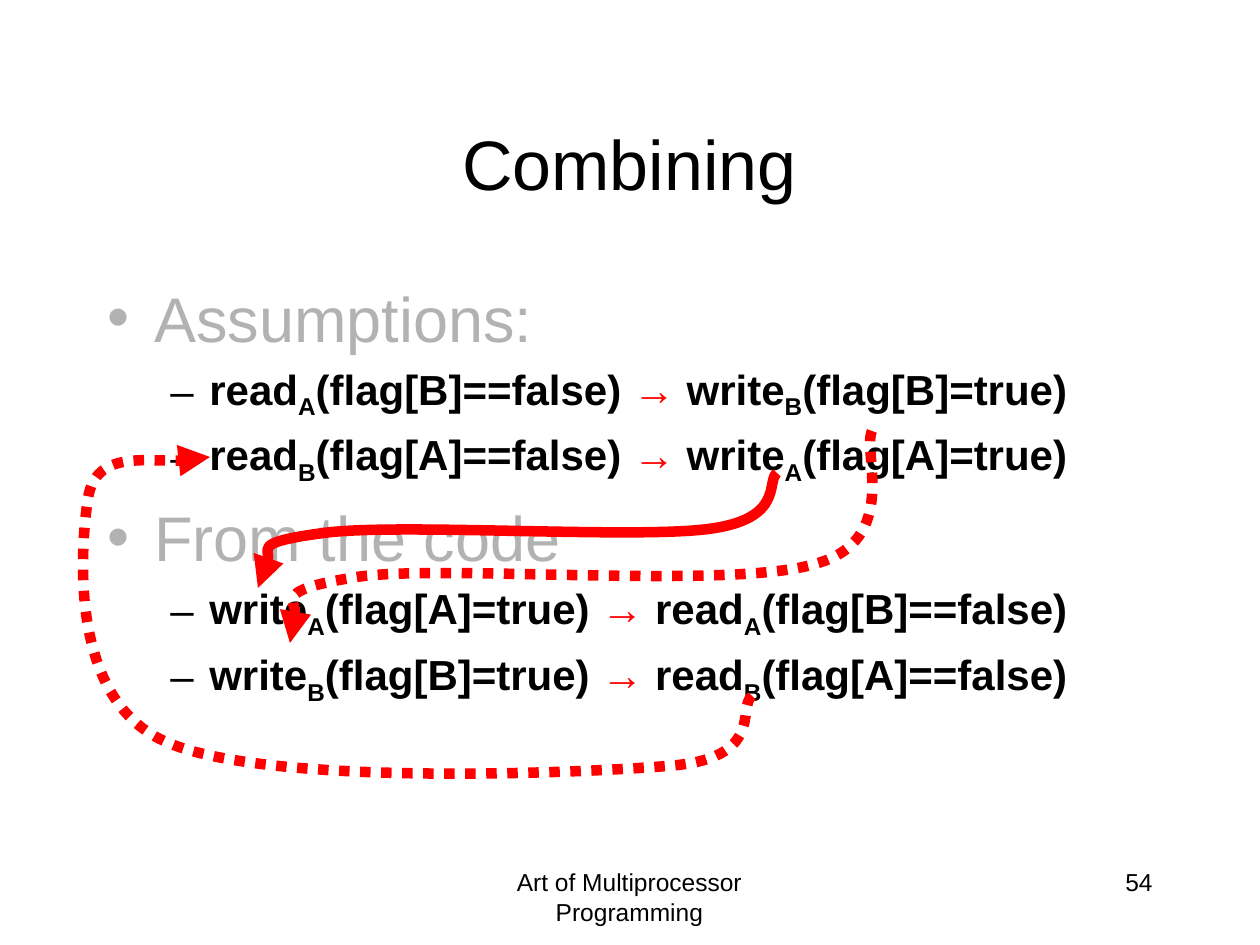
from lxml.etree import SubElement
from pptx import Presentation
from pptx.dml.color import RGBColor
from pptx.enum.dml import MSO_LINE
from pptx.enum.text import MSO_ANCHOR, PP_ALIGN
from pptx.oxml.ns import qn
from pptx.util import Emu, Pt

EMU_PER_PX = 914400 / 126
FONT = "Arial"
HEADING_SIZE, EVENT_SIZE = 36, 24
COLORS = {"text": "000000", "faded": "B2B2B2", "accent": "FF0000"}

# Each event is (verb, thread, arguments); the first one precedes the second
ASSUMPTIONS = [
    (("read", "A", "(flag[B]==false)"), ("write", "B", "(flag[B]=true)")),
    (("read", "B", "(flag[A]==false)"), ("write", "A", "(flag[A]=true)")),
]
FROM_CODE = [
    (("write", "A", "(flag[A]=true)"), ("read", "A", "(flag[B]==false)")),
    (("write", "B", "(flag[B]=true)"), ("read", "B", "(flag[A]==false)")),
]

# Start point, then two control points and an end point per curve
READ_B_LOOP = [
    (752, 696),
    (737, 707), (766, 759), (668, 766),
    (570, 774), (260, 786), (164, 741),
    (67, 697), (81, 544), (88, 498),
    (96, 450), (185, 466), (210, 457),
]
WRITE_B_LINK = [
    (872, 431),
    (862, 452), (901, 541), (815, 564),
    (730, 590), (445, 564), (357, 577),
    (270, 591), (304, 629), (290, 643),
]
WRITE_A_LINK = [
    (777, 473),
    (766, 481), (785, 519), (709, 529),
    (634, 539), (398, 523), (324, 533),
    (248, 543), (272, 577), (258, 588),
]


def px(value):
    return Emu(round(value * EMU_PER_PX))


def add_run(paragraph, text, size, color="text", bold=False, subscript=False):
    run = paragraph.add_run()
    run.text = text
    run.font.name = FONT
    run.font.size = Pt(size)
    run.font.bold = bold
    run.font.color.rgb = RGBColor.from_string(COLORS[color])
    if subscript:
        run._r.get_or_add_rPr().set("baseline", "-25000")


def add_frame(slide, left, top, width, height):
    frame = slide.shapes.add_textbox(px(left), px(top), px(width), px(height)).text_frame
    frame.word_wrap = True
    return frame


def add_label(slide, box, text, size, align, anchor=MSO_ANCHOR.TOP):
    frame = add_frame(slide, *box)
    frame.vertical_anchor = anchor
    paragraph = frame.paragraphs[0]
    paragraph.alignment = align
    add_run(paragraph, text, size)


def add_bullet(frame, char, level, margin, hanging, size):
    first = not frame.paragraphs[0].runs
    paragraph = frame.paragraphs[0] if first else frame.add_paragraph()
    paragraph.level = level
    paragraph.space_before = Pt(0 if first else size / 5)
    properties = paragraph._p.get_or_add_pPr()
    properties.set("marL", str(px(margin)))
    properties.set("indent", str(px(-hanging)))
    SubElement(properties, qn("a:buFont"), typeface=FONT)
    SubElement(properties, qn("a:buChar"), char=char)
    return paragraph


def add_section(frame, heading, orderings):
    add_run(add_bullet(frame, "•", 0, 47, 47, HEADING_SIZE), heading, HEADING_SIZE, "faded")
    for before, after in orderings:
        paragraph = add_bullet(frame, "–", 1, 102, 39, EVENT_SIZE)
        add_event(paragraph, before)
        add_run(paragraph, " ", EVENT_SIZE, bold=True)
        add_run(paragraph, "→", EVENT_SIZE, "accent", bold=True)
        add_run(paragraph, " ", EVENT_SIZE, bold=True)
        add_event(paragraph, after)


def add_event(paragraph, event):
    verb, thread, arguments = event
    add_run(paragraph, verb, EVENT_SIZE, bold=True)
    add_run(paragraph, thread, EVENT_SIZE, bold=True, subscript=True)
    add_run(paragraph, arguments, EVENT_SIZE, bold=True)


def add_curved_arrow(slide, points, dotted=False):
    start, *rest = [(px(x), px(y)) for x, y in points]
    builder = slide.shapes.build_freeform(*start)
    builder.add_line_segments(rest, close=False)
    arrow = builder.convert_to_shape()
    arrow.shadow.inherit = False
    arrow.fill.background()
    arrow.line.color.rgb = RGBColor.from_string(COLORS["accent"])
    arrow.line.width = Pt(6)
    if dotted:
        arrow.line.dash_style = MSO_LINE.ROUND_DOT
    SubElement(arrow.line._get_or_add_ln(), qn("a:tailEnd"), type="triangle")

    # Turn every three line segments into one cubic curve
    outline = next(arrow._element.iter(qn("a:path")))
    segments = outline.findall(qn("a:lnTo"))
    for i in range(0, len(segments), 3):
        curve = SubElement(outline, qn("a:cubicBezTo"))
        for segment in segments[i:i + 3]:
            curve.append(segment[0])
            outline.remove(segment)


def main():
    presentation = Presentation()
    presentation.slide_width, presentation.slide_height = px(1260), px(945)
    slide = presentation.slides.add_slide(presentation.slide_layouts[6])

    # Footer and slide number
    add_label(slide, (430, 861, 399, 63), "Art of Multiprocessor Programming", 14, PP_ALIGN.CENTER)
    add_label(slide, (903, 861, 262, 63), "54", 14, PP_ALIGN.RIGHT)

    # Event orderings
    body = add_frame(slide, 95, 273, 1071, 567)
    add_section(body, "Assumptions:", ASSUMPTIONS)
    add_section(body, "From the code", FROM_CODE)

    # Title
    add_label(slide, (94, 84, 1071, 158), "Combining", 40, PP_ALIGN.CENTER, MSO_ANCHOR.MIDDLE)

    # Arrows that close the cycle
    add_curved_arrow(slide, READ_B_LOOP, dotted=True)
    add_curved_arrow(slide, WRITE_B_LINK, dotted=True)
    add_curved_arrow(slide, WRITE_A_LINK)

    presentation.save("out.pptx")


if __name__ == "__main__":
    main()
